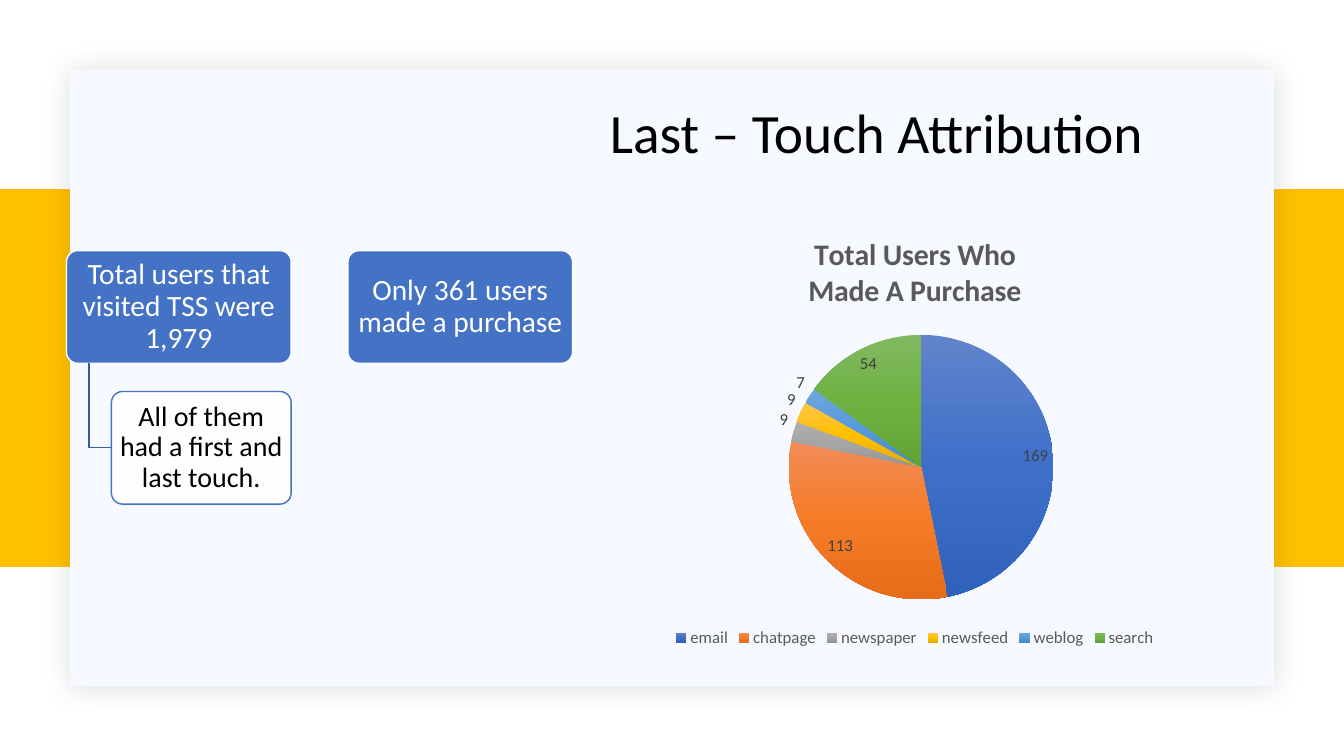
"""Build the last-touch attribution slide with its user boxes and pie chart."""
from copy import deepcopy

from lxml.etree import SubElement
from pptx import Presentation
from pptx.chart.data import CategoryChartData
from pptx.dml.color import RGBColor
from pptx.enum.chart import XL_CHART_TYPE as ChartType
from pptx.enum.chart import XL_LABEL_POSITION as LabelPosition
from pptx.enum.chart import XL_LEGEND_POSITION as LegendPosition
from pptx.enum.shapes import MSO_SHAPE as Preset
from pptx.enum.text import MSO_ANCHOR as Anchor
from pptx.enum.text import PP_ALIGN as Align
from pptx.oxml import parse_xml
from pptx.oxml.ns import nsdecls, qn
from pptx.util import Pt

COLORS = {
    "band": "FFC000", "card": "F6F9FF", "shadow": "1F2125", "box": "4472C4",
    "white": "FFFFFF", "black": "000000", "elbow": "365B9D",
    "heading": "595959", "label": "404040",
}
SLICES = [
    ("email", 169, ("6183CB", "3E70CA", "3062BB")),
    ("chatpage", 113, ("F18C57", "F67B28", "E56C19")),
    ("newspaper", 9, ("AFAFAF", "A5A5A5", "939393")),
    ("newsfeed", 9, ("FFC64B", "FFC000", "E3AB00")),
    ("weblog", 7, ("71A6DB", "559BDB", "448ACA")),
    ("search", 54, ("81B861", "6FB242", "62A336")),
]


class SlideBuilder:
    """Holds the style and the current slide, and draws each kind of element."""

    font_name = "Calibri"

    def __init__(self, page):
        self.page = page

    def color(self, name):
        return RGBColor.from_string(COLORS[name])

    def set_font(self, font, size, color, bold=False):
        font.name, font.size, font.bold = self.font_name, Pt(size), bold
        font.color.rgb = self.color(color)

    def shape(self, preset, place, fill, line=None):
        shape = self.page.shapes.add_shape(preset, *map(Pt, place))
        shape.shadow.inherit = False
        shape.fill.solid()
        shape.fill.fore_color.rgb = self.color(fill)
        if line:
            shape.line.color.rgb = self.color(line)
            shape.line.width = Pt(1)
        else:
            shape.line.fill.background()
        return shape

    def card(self, place, fill):
        card = self.shape(Preset.RECTANGLE, place, fill)
        effects = card._element.spPr.find(qn("a:effectLst"))
        shadow = SubElement(effects, qn("a:outerShdw"), blurRad=str(Pt(20)),
                            dist=str(Pt(2)), dir="2700000", rotWithShape="0")
        tint = SubElement(shadow, qn("a:srgbClr"), val=COLORS["shadow"])
        SubElement(tint, qn("a:alpha"), val="15000")

    def set_text(self, frame, text, size, color, align):
        frame.word_wrap = True
        frame.vertical_anchor = Anchor.MIDDLE
        para = frame.paragraphs[0]
        para.text, para.alignment, para.line_spacing = text, align, 0.9
        self.set_font(para.font, size, color)

    def title(self, place, text):
        box = self.page.shapes.add_textbox(*map(Pt, place))
        self.set_text(box.text_frame, text, 39.6, "black", Align.LEFT)

    def box(self, place, text, size, fill, line, color, opacity=100):
        box = self.shape(Preset.ROUNDED_RECTANGLE, place, fill, line)
        box.adjustments[0] = 0.1
        if opacity < 100:
            tint = box._element.spPr.find(qn("a:solidFill"))[0]
            SubElement(tint, qn("a:alpha"), val=str(opacity * 1000))
        frame = box.text_frame
        frame.margin_left = frame.margin_right = Pt(3)
        frame.margin_top = frame.margin_bottom = Pt(2)
        self.set_text(frame, text, size, color, Align.CENTER)

    def elbow(self, start, *corners):
        builder = self.page.shapes.build_freeform(*map(Pt, start))
        builder.add_line_segments([tuple(map(Pt, corner)) for corner in corners], close=False)
        elbow = builder.convert_to_shape()
        elbow.shadow.inherit = False
        elbow.fill.background()
        elbow.line.color.rgb = self.color("elbow")
        elbow.line.width = Pt(1)

    def pie(self, place, title_lines, slices, layout):
        data = CategoryChartData(number_format="#,##0")
        data.categories = [name for name, _, _ in slices]
        data.add_series(" ".join(title_lines), [value for _, value, _ in slices])
        chart = self.page.shapes.add_chart(ChartType.PIE, *map(Pt, place), data).chart
        self.set_font(chart.font, 10, "black")

        chart.has_title = True
        frame = chart.chart_title.text_frame
        frame.text = "\n".join(title_lines)
        for para in frame.paragraphs:
            self.set_font(para.font, 21.3, "heading", bold=True)
        chart.has_legend = True
        chart.legend.position = LegendPosition.BOTTOM
        chart.legend.include_in_layout = False
        self.set_font(chart.legend.font, 12, "heading")

        plot = chart.plots[0]
        plot.vary_by_categories = True
        plot.has_data_labels = True
        labels = plot.data_labels
        labels.show_value = True
        labels.show_percentage = False
        labels.number_format, labels.number_format_is_linked = "#,##0", False
        labels.position = LabelPosition.BEST_FIT
        self.set_font(labels.font, 12, "label")

        series = plot.series[0]
        for index, (_, _, shades) in enumerate(slices):
            fill = series.points[index].format.fill
            fill.gradient()
            fill.gradient_angle = 270
            stops = series._element.xpath("c:dPt[last()]//a:gsLst")[0]
            stops.insert(1, deepcopy(stops[0]))
            for step, (stop, shade) in enumerate(zip(fill.gradient_stops, shades)):
                stop.position = step / 2
                stop.color.rgb = RGBColor.from_string(shade)
        self.place_plot(chart, layout)

    def place_plot(self, chart, layout):
        area = chart._chartSpace.chart.plotArea
        for old in area.findall(qn("c:layout")):
            area.remove(old)
        sizes = "".join(f'<c:{key} val="{value}"/>' for key, value in zip("xywh", layout))
        area.insert(0, parse_xml(
            f'<c:layout {nsdecls("c")}><c:manualLayout><c:layoutTarget val="inner"/>'
            f'<c:xMode val="edge"/><c:yMode val="edge"/>{sizes}</c:manualLayout></c:layout>'))


deck = Presentation()
deck.slide_width, deck.slide_height = Pt(960), Pt(540)
builder = SlideBuilder(deck.slides.add_slide(deck.slide_layouts[6]))

builder.shape(Preset.RECTANGLE, (0, 135, 960, 270), "band")
builder.card((50, 50, 860, 440), "card")
builder.title((428.5, 74, 450, 46), "Last – Touch Attribution")

left, top, width, height, step = 47.5, 179, 160.5, 80.5, 201
statements = ["Total users that visited TSS were 1,979", "Only 361 users made a purchase"]
for column, statement in enumerate(statements):
    builder.box((left + column * step, top, width, height), statement, 21,
                "box", "white", "white")

child_left, child_top = left + 0.2 * width, top + 1.25 * height
trunk, middle = left + 0.1 * width, child_top + height / 2
builder.elbow((trunk, top + height), (trunk, middle), (child_left, middle))
builder.box((child_left, child_top, 0.8 * width, height),
            "All of them had a first and last touch.", 20, "white", "box", "black", 90)

builder.pie((428.5, 155.5, 450, 310), ["Total Users Who", "Made A Purchase"],
            SLICES, (0.3, 0.27, 0.42, 0.61))

deck.save("out.pptx")
